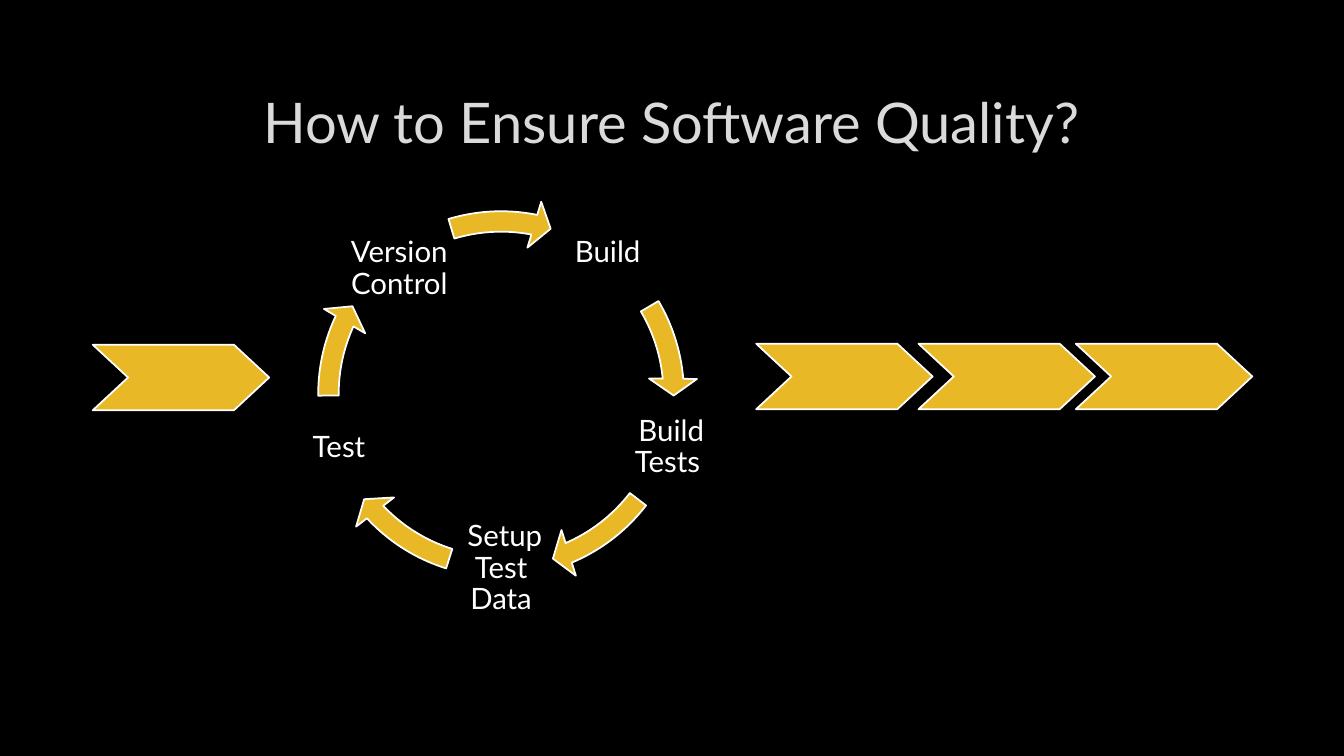
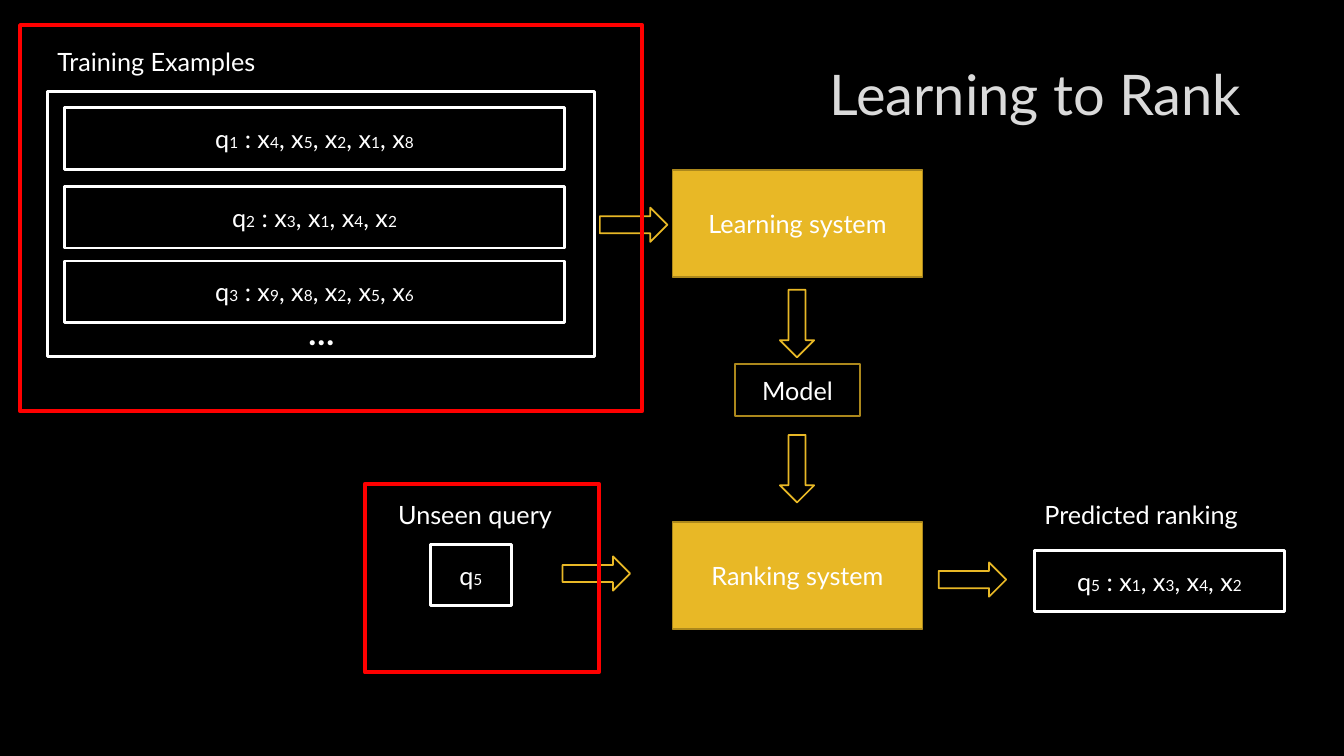
from itertools import groupby

from pptx import Presentation
from pptx.dml.color import RGBColor
from pptx.enum import shapes, text
from pptx.util import Inches, Pt

COLORS = {
    "background": "000000",
    "title": "DADADA",
    "text": "FFFFFF",
    "accent": "E8B826",
    "edge": "AC881C",
    "highlight": "FF0000",
}
FONT = "Lato"
SHAPE = shapes.MSO_SHAPE
ALIGN = text.PP_ALIGN


def color(name):
    return RGBColor.from_string(COLORS[name])


class Slides:
    """Holds the deck, its style and the page being drawn."""

    def __init__(self):
        self.deck = Presentation()
        self.deck.slide_width = Inches(13.33)
        self.deck.slide_height = Inches(7.5)
        self.page = None

    def new_page(self):
        self.page = self.deck.slides.add_slide(self.deck.slide_layouts[6])
        fill = self.page.background.fill
        fill.solid()
        fill.fore_color.rgb = color("background")

    def style(self, shape, fill, line, width):
        shape.shadow.inherit = False
        if fill:
            shape.fill.solid()
            shape.fill.fore_color.rgb = color(fill)
        else:
            shape.fill.background()
        shape.line.color.rgb = color(line)
        shape.line.width = Pt(width)

    def span(self, para, words, size, ink="text", bold=False):
        span = para.add_run()
        span.text = words
        span.font.name = FONT
        span.font.size = Pt(size)
        span.font.bold = bold
        span.font.color.rgb = color(ink)

    def label(self, left, top, width, height, words, size=18, align=ALIGN.LEFT,
              ink="text", bold=False, middle=False, inset=None, spacing=None):
        box = self.page.shapes.add_textbox(
            Inches(left), Inches(top), Inches(width), Inches(height))
        frame = box.text_frame
        frame.word_wrap = True
        if middle:
            frame.vertical_anchor = text.MSO_ANCHOR.MIDDLE
        else:
            frame.auto_size = text.MSO_AUTO_SIZE.SHAPE_TO_FIT_TEXT
        if inset is not None:
            frame.margin_left = frame.margin_right = Inches(inset)
            frame.margin_top = frame.margin_bottom = Inches(inset)
        para = frame.paragraphs[0]
        para.alignment = align
        if spacing:
            para.line_spacing = spacing
        self.span(para, words, size, ink, bold)

    def title(self, left, top, words, align):
        self.label(left, top, 11.32, 1.06, words, 40, align, "title", middle=True)

    def shape(self, kind, left, top, width, height, fill=None, line="accent", weight=1.25):
        shape = self.page.shapes.add_shape(
            kind, Inches(left), Inches(top), Inches(width), Inches(height))
        self.style(shape, fill, line, weight)
        return shape

    def box(self, left, top, width, height, words="", fill=None, line="text", weight=2,
            small_digits=False):
        """Draw a rectangle; small_digits sets indices such as the 1 in q1 smaller."""
        box = self.shape(SHAPE.RECTANGLE, left, top, width, height, fill, line, weight)
        frame = box.text_frame
        frame.word_wrap = True
        frame.vertical_anchor = text.MSO_ANCHOR.MIDDLE
        para = frame.paragraphs[0]
        para.alignment = ALIGN.CENTER
        if small_digits:
            for is_index, letters in groupby(words, str.isdigit):
                self.span(para, "".join(letters), 11 if is_index else 18)
        elif words:
            self.span(para, words, 18)

    def block_arrow(self, left, top, rotation=0):
        arrow = self.shape(SHAPE.RIGHT_ARROW, left, top, 0.67, 0.34)
        arrow.rotation = rotation

    def notched_tag(self, left, top):
        width, height, point = 1.75, 0.65, 0.35
        outline = [(width - point, 0), (width, height / 2), (width - point, height),
                   (0, height), (point, height / 2)]
        builder = self.page.shapes.build_freeform(Inches(left), Inches(top))
        builder.add_line_segments(
            [(Inches(left + x), Inches(top + y)) for x, y in outline], close=True)
        self.style(builder.convert_to_shape(), "accent", "text", 1.25)

    def cycle_arrow(self, start, end):
        """Draw one arc of the ring between two angles in degrees, clockwise from the right."""
        arrow = self.shape(SHAPE.CIRCULAR_ARROW, 3.02, 1.96, 3.9, 3.9, "accent", "text")
        degree = 0.6  # preset angles count 60000 to a degree, adjustments 100000 to one
        values = (0.052, 5.59 * degree, end * degree, start * degree, 0.061)
        for index, value in enumerate(values):
            arrow.adjustments[index] = value


def quality_page(slides):
    slides.new_page()
    slides.title(1, 0.67, "How to Ensure Software Quality?", ALIGN.CENTER)
    for left, top in [(0.92, 3.42), (7.5, 3.41), (9.11, 3.41), (10.67, 3.41)]:
        slides.notched_tag(left, top)
    steps = [
        (" Build", 5.47, 1.99, 329.42, 354.91),
        (" Build Tests", 6.1, 3.92, 37.54, 66.93),
        (" Setup Test Data", 4.45, 5.12, 107.48, 136.87),
        (" Test", 2.81, 3.92, 179.5, 204.99),
        (" Version Control", 3.44, 1.99, 253.29, 281.11),
    ]
    for words, left, top, start, end in steps:
        slides.label(left, top, 1.04, 1.04, words, 21, ALIGN.CENTER,
                     middle=True, inset=0.03, spacing=0.9)
        slides.cycle_arrow(start, end)


def ranking_page(slides):
    slides.new_page()
    slides.box(0.47, 0.91, 5.43, 2.63)
    for words, top in [("Learning system", 1.69), ("Ranking system", 5.18)]:
        slides.box(6.67, top, 2.48, 1.06, words, "accent", "edge", 1.25)
    slides.box(7.29, 3.61, 1.24, 0.52, "Model", None, "edge", 1.25)

    for left, top in [(5.95, 2.06), (5.58, 5.52), (9.31, 5.58)]:
        slides.block_arrow(left, top)
    for top in (3.04, 4.48):
        slides.block_arrow(7.57, top, 90)

    rankings = [
        (0.64, 1.07, 4.96, "q1 : x4, x5, x2, x1, x8"),
        (0.64, 1.85, 4.96, "q2 : x3, x1, x4, x2"),
        (0.64, 2.59, 4.96, "q3 : x9, x8, x2, x5, x6"),
        (4.27, 5.4, 0.8, "q5"),
        (10.26, 5.46, 2.48, "q5 : x1, x3, x4, x2"),
    ]
    for left, top, width, words in rankings:
        slides.box(left, top, width, 0.61, words, small_digits=True)

    captions = [
        (0.47, 0.41, "Training Examples"),
        (3.85, 4.9, "Unseen query"),
        (10.26, 4.9, "Predicted ranking"),
    ]
    for left, top, words in captions:
        slides.label(left, top, 2.32, 0.4, words)
    slides.label(2.96, 3.05, 2.11, 0.5, "…", 24, bold=True)
    slides.title(1.09, 0.39, "Learning to Rank", ALIGN.RIGHT)

    for place in [(0.2, 0.25, 6.17, 3.83), (3.62, 4.8, 2.32, 1.87)]:
        slides.box(*place, line="highlight", weight=3)


def main():
    slides = Slides()
    quality_page(slides)
    ranking_page(slides)
    slides.deck.save("out.pptx")


if __name__ == "__main__":
    main()
